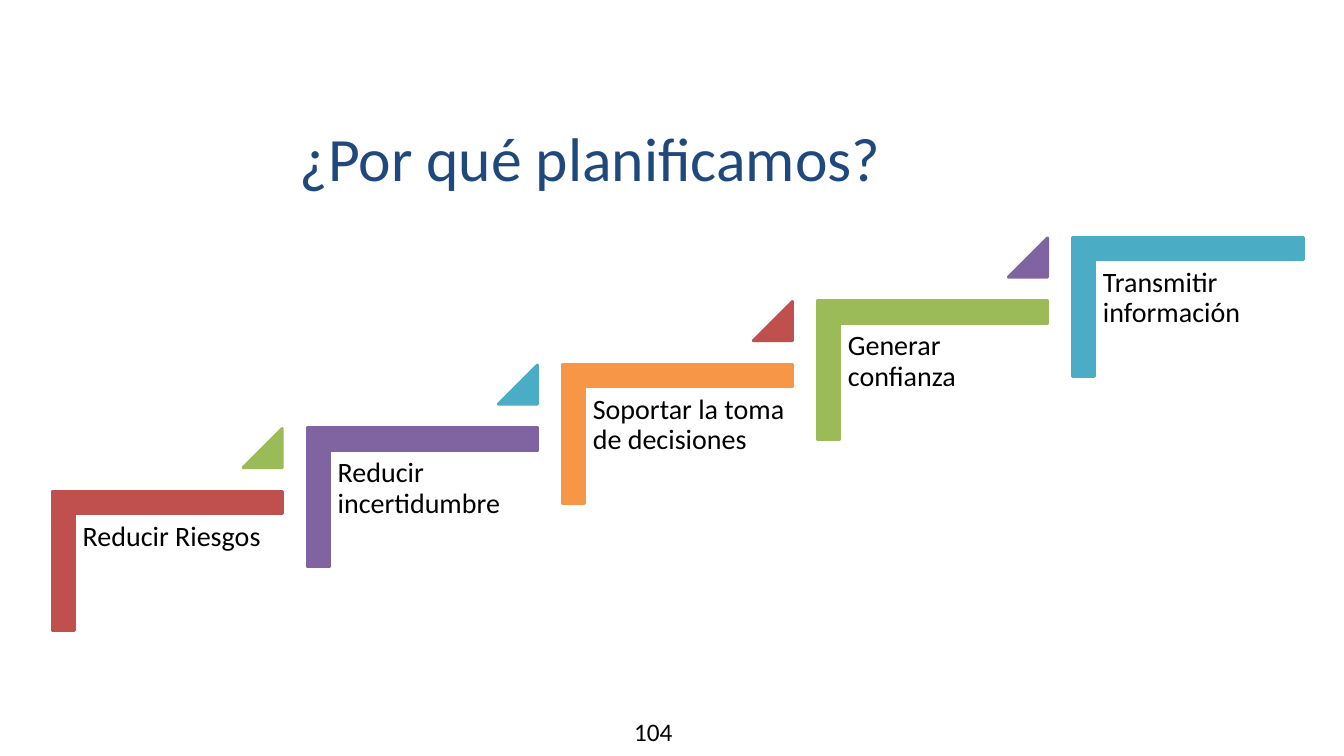
"""Builds a slide with a rising staircase of five reasons for planning."""
from pptx import Presentation
from pptx import util as u
from pptx.dml.color import RGBColor
from pptx.enum import shapes, text

TITLE = "¿Por qué planificamos?"
PAGE_NUMBER = "104"
STEPS = [
    ("Reducir Riesgos", "C0504D", "9BBB59"),
    ("Reducir incertidumbre", "8064A2", "4BACC6"),
    ("Soportar la toma de decisiones", "F79646", "C0504D"),
    ("Generar confianza", "9BBB59", "8064A2"),
    ("Transmitir información", "4BACC6", None),
]
FIRST_LEFT, FIRST_TOP = 0.97, 4.42
STEP_RIGHT, STEP_UP = 2.53, 0.63


def color(value):
    return RGBColor.from_string(value)


def add_text(page, words, area, size, ink="000000", inset=0.0, wrap=True,
             align=text.PP_ALIGN.LEFT, spacing=1.0):
    box = page.shapes.add_textbox(*map(u.Inches, area))
    frame = box.text_frame
    frame.word_wrap = wrap
    frame.margin_left = frame.margin_right = u.Inches(inset)
    frame.margin_top = frame.margin_bottom = u.Inches(inset)
    para = frame.paragraphs[0]
    para.alignment = align
    para.line_spacing = spacing
    span = para.add_run()
    span.text = words
    span.font.name = "Calibri"
    span.font.size = u.Pt(size)
    span.font.color.rgb = color(ink)
    return box


def add_solid(page, kind, area, paint, adjustments, rotation=0):
    shape = page.shapes.add_shape(kind, *map(u.Inches, area))
    shape.shadow.inherit = False
    shape.rotation = rotation
    for index, value in enumerate(adjustments):
        shape.adjustments[index] = value
    shape.fill.solid()
    shape.fill.fore_color.rgb = color(paint)
    shape.line.color.rgb = color(paint)
    shape.line.width = u.Pt(2)


def add_step(page, index, label, paint, arrow_paint):
    left = FIRST_LEFT + index * STEP_RIGHT
    top = FIRST_TOP - index * STEP_UP
    add_solid(page, shapes.MSO_SHAPE.CORNER, (left, top, 1.38, 2.29),
              paint, (0.161, 0.161), rotation=90)
    add_text(page, label, (left - 0.23, top + 0.68, 2.07, 1.81), 20,
             inset=0.08, spacing=0.9)
    if arrow_paint:
        add_solid(page, shapes.MSO_SHAPE.ISOSCELES_TRIANGLE,
                  (left + 1.44, top - 0.17, 0.39, 0.39), arrow_paint, (1,))


def main():
    deck = Presentation()
    deck.slide_width, deck.slide_height = u.Inches(13.33), u.Inches(7.5)
    page = deck.slides.add_slide(deck.slide_layouts[6])
    number = add_text(page, PAGE_NUMBER, (6.19, 7.06, 0.64, 0.4), 18,
                      inset=0.1, wrap=False)
    number.text_frame.margin_top = number.text_frame.margin_bottom = u.Inches(0.05)
    add_text(page, TITLE, (0.71, 1.19, 10.29, 1.53), 44, ink="1F497D",
             align=text.PP_ALIGN.CENTER)
    for index, step in enumerate(STEPS):
        add_step(page, index, *step)
    deck.save("out.pptx")


if __name__ == "__main__":
    main()
